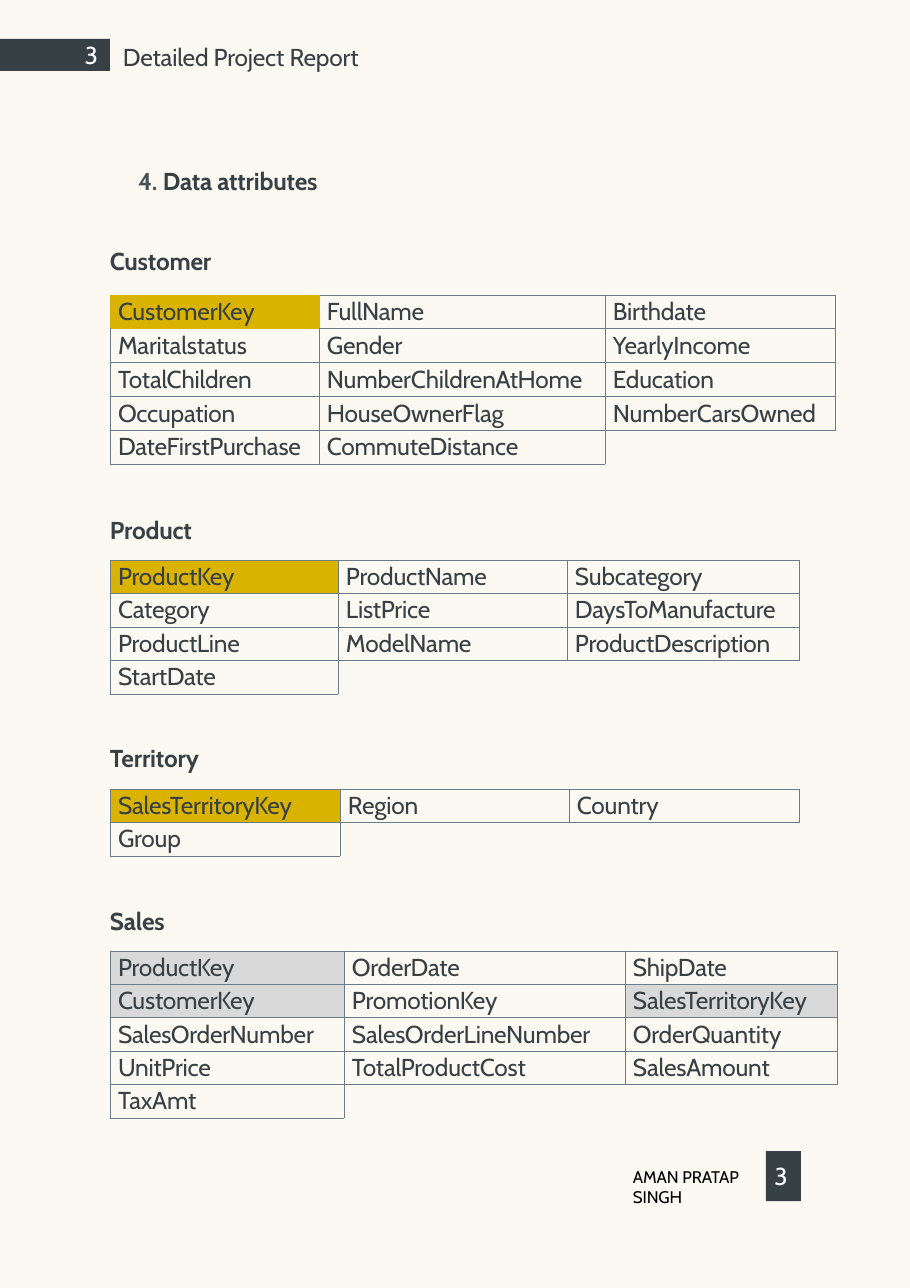
from lxml.etree import SubElement
from pptx import Presentation
from pptx.dml.color import RGBColor
from pptx.enum.shapes import MSO_SHAPE
from pptx.enum.text import MSO_ANCHOR, MSO_AUTO_SIZE, PP_ALIGN
from pptx.oxml.ns import qn
from pptx.util import Pt

EMU_PER_PX = 8298
FONT = "Cabin"
CREAM, INK, WHITE, BLACK = "FBF9F1", "374045", "FFFFFF", "000000"
GOLD, GRAY, SLATE, NUMBER_INK = "D9B300", "D9D9D9", "6A7D86", "465257"
NO_GRID_STYLE = "{2D5ABB26-0587-4C30-8999-92F81FD0307C}"
LEFT_EDGE = 110
HEADING_HEIGHT = 32

# Sides that touch the top left key cell, by row and column
KEY_SIDES = {(0, 0): "LRTB", (0, 1): "L", (1, 0): "T"}

# Heading, heading top, table top, table height, column widths, key colour, keys, fields
ENTITIES = [
    ("Customer", 245, 295, 169, (209, 286, 230), GOLD, ["CustomerKey"],
     ["CustomerKey", "FullName", "Birthdate",
      "Maritalstatus", "Gender", "YearlyIncome",
      "TotalChildren", "NumberChildrenAtHome", "Education",
      "Occupation", "HouseOwnerFlag", "NumberCarsOwned",
      "DateFirstPurchase", "CommuteDistance"]),
    ("Product", 514, 560, 134, (228, 229, 232), GOLD, ["ProductKey"],
     ["ProductKey", "ProductName", "Subcategory",
      "Category", "ListPrice", "DaysToManufacture",
      "ProductLine", "ModelName", "ProductDescription",
      "StartDate"]),
    ("Territory", 742, 789, 67, (230, 229, 230), GOLD, ["SalesTerritoryKey"],
     ["SalesTerritoryKey", "Region", "Country", "Group"]),
    ("Sales", 905, 951, 167, (234, 281, 212), GRAY,
     ["ProductKey", "CustomerKey", "SalesTerritoryKey"],
     ["ProductKey", "OrderDate", "ShipDate",
      "CustomerKey", "PromotionKey", "SalesTerritoryKey",
      "SalesOrderNumber", "SalesOrderLineNumber", "OrderQuantity",
      "UnitPrice", "TotalProductCost", "SalesAmount",
      "TaxAmt"]),
]


def px(length):
    return length * EMU_PER_PX


def color(value):
    return RGBColor.from_string(value)


def format_span(span, ink, size=16, bold=False):
    span.font.name = FONT
    span.font.size = Pt(size)
    span.font.bold = bold
    span.font.color.rgb = color(ink)
    span.font._element.set("spc", "-10")


def set_frame(frame, right=0):
    frame.word_wrap = True
    frame.auto_size = MSO_AUTO_SIZE.NONE
    frame.vertical_anchor = MSO_ANCHOR.MIDDLE
    frame.margin_left = frame.margin_top = frame.margin_bottom = 0
    frame.margin_right = px(right)


def add_text(page, text, left, top, width, height, ink=INK, size=16, bold=False):
    box = page.shapes.add_textbox(px(left), px(top), px(width), px(height))
    set_frame(box.text_frame)
    box.text_frame.text = text
    format_span(box.text_frame.paragraphs[0].runs[0], ink, size, bold)


def add_number_block(page, text, left, top, width, height, align, right):
    block = page.shapes.add_shape(
        MSO_SHAPE.RECTANGLE, px(left), px(top), px(width), px(height))
    block.shadow.inherit = False
    block.fill.solid()
    block.fill.fore_color.rgb = color(INK)
    block.line.fill.background()
    set_frame(block.text_frame, right)
    block.text_frame.text = text
    para = block.text_frame.paragraphs[0]
    para.alignment = align
    format_span(para.runs[0], WHITE)


def set_title(page, number, text):
    title = page.shapes.title
    title.left, title.top = px(138), px(165)
    title.width, title.height = px(300), px(HEADING_HEIGHT)
    set_frame(title.text_frame)
    para = title.text_frame.paragraphs[0]
    para.text = number
    para.alignment = PP_ALIGN.LEFT
    format_span(para.runs[0], NUMBER_INK, bold=True)
    span = para.add_run()
    span.text = text
    format_span(span, INK, bold=True)


def set_borders(cell, sides, gold_sides):
    properties = cell._tc.get_or_add_tcPr()
    for side in sides:
        line = SubElement(properties, qn(f"a:ln{side}"), w="6350")
        fill = SubElement(line, qn("a:solidFill"))
        SubElement(fill, qn("a:srgbClr"), val=GOLD if side in gold_sides else SLATE)


def fill_cell(cell, text, background, sides, gold_sides):
    set_borders(cell, sides, gold_sides)
    cell.fill.solid()
    cell.fill.fore_color.rgb = color(background)
    cell.margin_left = px(8)
    cell.margin_right = cell.margin_top = cell.margin_bottom = 0
    cell.vertical_anchor = MSO_ANCHOR.MIDDLE
    para = cell.text_frame.paragraphs[0]
    if text:
        para.text = text
        format_span(para.runs[0], INK)
    else:
        SubElement(para._p, qn("a:endParaRPr"), sz="1100")


def add_field_table(page, top, height, widths, key_color, keys, fields, gold_frame):
    columns = len(widths)
    rows = -(-len(fields) // columns)
    frame = page.shapes.add_table(
        rows, columns, px(LEFT_EDGE), px(top), px(sum(widths)), px(height))
    table = frame.table
    table.first_row = table.horz_banding = False
    frame._element.find(".//" + qn("a:tableStyleId")).text = NO_GRID_STYLE
    for column, width in zip(table.columns, widths):
        column.width = px(width)
    for row in table.rows:
        row.height = px(height) // rows

    # Cells after the last field stay empty and open
    for index in range(rows * columns):
        place = divmod(index, columns)
        text = fields[index] if index < len(fields) else ""
        if text:
            sides = "LRTB"
        else:
            sides = "LT" if index == len(fields) else "T"
        gold_sides = KEY_SIDES.get(place, "") if gold_frame else ""
        background = key_color if text in keys else CREAM
        fill_cell(table.cell(*place), text, background, sides, gold_sides)
    if rows * columns - len(fields) > 1:
        first_empty = table.cell(*divmod(len(fields), columns))
        first_empty.merge(table.cell(rows - 1, columns - 1))


def main():
    deck = Presentation()
    deck.slide_width, deck.slide_height = px(910), px(1288)
    page = deck.slides.add_slide(deck.slide_layouts[5])
    page.background.fill.solid()
    page.background.fill.fore_color.rgb = color(CREAM)

    # Header
    add_number_block(page, "3", 0, 39, 110, 32, PP_ALIGN.RIGHT, 12)
    add_text(page, "Detailed Project Report", 123, 41, 280, HEADING_HEIGHT)
    set_title(page, "4. ", "Data attributes")

    # Entities with their fields
    for name, heading_top, *table_parts in ENTITIES:
        add_text(page, name, LEFT_EDGE, heading_top, 200, HEADING_HEIGHT, bold=True)
        add_field_table(page, *table_parts, gold_frame=name == "Customer")

    # Footer
    add_text(page, "AMAN PRATAP SINGH", 633, 1165, 126, 44, BLACK, 11)
    add_number_block(page, "3", 766, 1151, 35, 50, PP_ALIGN.CENTER, 5)

    deck.save("out.pptx")


if __name__ == "__main__":
    main()
